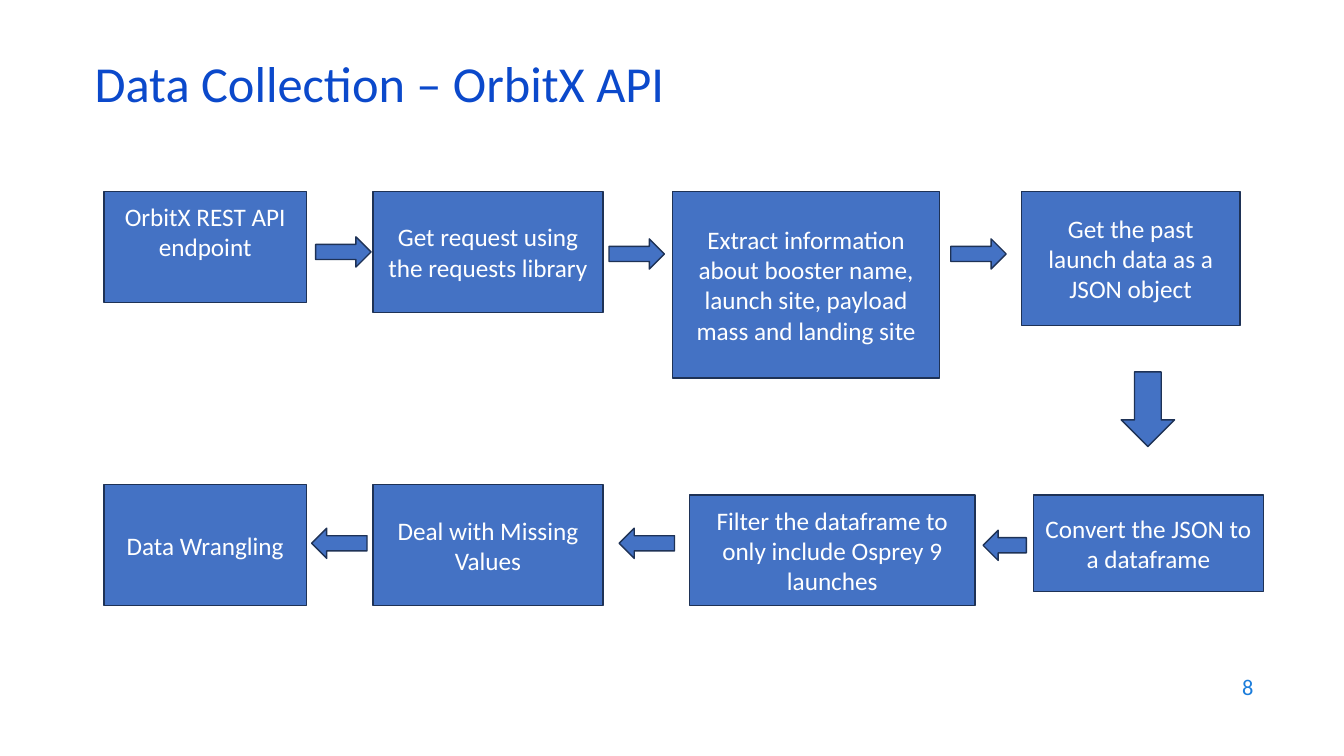
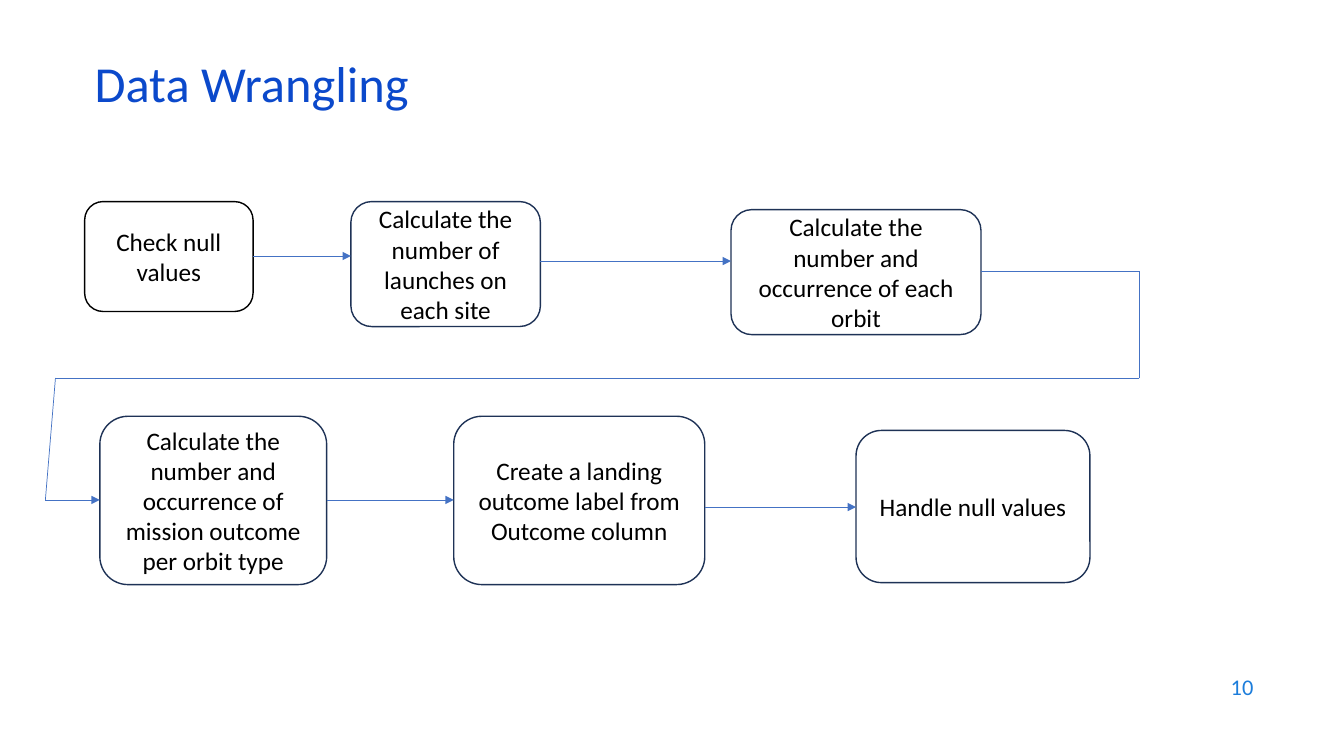
from dataclasses import dataclass
from itertools import pairwise

from lxml.etree import SubElement
from pptx import Presentation
from pptx.dml.color import RGBColor
from pptx.enum.shapes import MSO_CONNECTOR, MSO_SHAPE as Preset
from pptx.enum.text import MSO_ANCHOR as Anchor, PP_ALIGN as Align
from pptx.oxml.ns import qn
from pptx.util import Pt

PX = 9144


@dataclass(frozen=True)
class Theme:
    font: str = "Calibri"
    title: str = "0B49CB"
    number: str = "1C7DDB"
    accent: str = "4472C4"
    outline: str = "1E3256"
    white: str = "FFFFFF"
    black: str = "000000"
    title_size: int = 36
    body_size: int = 18
    number_size: int = 16
    outline_width: float = 1
    connector_width: float = 0.5


theme = Theme()


def add_preset(slide, preset, place, fill=None, line=theme.outline):
    shape = slide.shapes.add_shape(preset, *(PX * value for value in place))
    shape.shadow.inherit = False
    if fill:
        shape.fill.solid()
        shape.fill.fore_color.rgb = RGBColor.from_string(fill)
    else:
        shape.fill.background()
    shape.line.color.rgb = RGBColor.from_string(line)
    shape.line.width = Pt(theme.outline_width)
    return shape


def add_text(shape, text, *, color, size=theme.body_size, align=Align.CENTER,
             spacing=None, bottom=5):
    frame = shape.text_frame
    frame.word_wrap = True
    frame.vertical_anchor = Anchor.MIDDLE
    frame.margin_bottom = PX * bottom
    paragraph = frame.paragraphs[0]
    paragraph.alignment = align
    if spacing:
        paragraph.line_spacing = spacing
    run = paragraph.add_run()
    run.text = text
    run.font.name = theme.font
    run.font.size = Pt(size)
    run.font.color.rgb = RGBColor.from_string(color)


presentation = Presentation()
presentation.slide_width = PX * 1333
presentation.slide_height = PX * 750

slides = []
for title, number in (("Data Collection – OrbitX API", "8"), ("Data Wrangling", "10")):
    slide = presentation.slides.add_slide(presentation.slide_layouts[6])
    number_box = slide.shapes.add_textbox(PX * 953, PX * 659, PX * 300, PX * 44)
    add_text(number_box, number, color=theme.number, size=theme.number_size, align=Align.RIGHT)
    title_box = slide.shapes.add_textbox(PX * 84, PX * 59, PX * 1150, PX * 60)
    add_text(title_box, title, color=theme.title, size=theme.title_size,
             align=Align.LEFT, spacing=0.7)
    slides.append(slide)
collection, wrangling = slides

collection_steps = (
    ("OrbitX REST API endpoint", (103, 190, 201, 110), 35),
    ("Get request using the requests library", (370, 190, 228, 120), 5),
    ("Extract information about booster name, launch site, payload mass and landing site",
     (667, 190, 265, 185), 5),
    ("Get the past launch data as a JSON object", (1013, 190, 217, 133), 5),
    ("Convert the JSON to a dataframe", (1025, 491, 228, 96), 5),
    ("Filter the dataframe to only include Osprey 9 launches", (684, 491, 283, 110), 5),
    ("Deal with Missing Values", (370, 481, 228, 120), 5),
    ("Data Wrangling", (103, 481, 201, 120), 5),
)
for text, place, bottom in collection_steps:
    box = add_preset(collection, Preset.RECTANGLE, place, fill=theme.accent)
    add_text(box, text, color=theme.white, bottom=bottom)

block_arrows = (
    (Preset.RIGHT_ARROW, (313, 235, 55, 30)),
    (Preset.RIGHT_ARROW, (604, 237, 55, 30)),
    (Preset.RIGHT_ARROW, (943, 237, 55, 30)),
    (Preset.DOWN_ARROW, (1112, 369, 53, 74)),
    (Preset.LEFT_ARROW, (975, 526, 43, 30)),
    (Preset.LEFT_ARROW, (614, 524, 55, 30)),
    (Preset.LEFT_ARROW, (309, 524, 55, 30)),
)
for preset, place in block_arrows:
    add_preset(collection, preset, place, fill=theme.accent)

wrangling_steps = (
    ("Check null values", (84, 200, 167, 109), theme.white, theme.black),
    ("Calculate the number of launches on each site",
     (348, 200, 188, 124), None, theme.outline),
    ("Calculate the number and occurrence of each orbit",
     (725, 208, 248, 124), None, theme.outline),
    ("Calculate the number and occurrence of mission outcome per orbit type",
     (99, 413, 225, 167), None, theme.outline),
    ("Create a landing outcome label from Outcome column",
     (450, 413, 249, 167), None, theme.outline),
    ("Handle null values", (849, 427, 232, 151), None, theme.outline),
)
for text, place, fill, line in wrangling_steps:
    box = add_preset(wrangling, Preset.ROUNDED_RECTANGLE, place, fill=fill, line=line)
    add_text(box, text, color=theme.black)

routes = (
    ((251, 254), (348, 254)),
    ((536, 259), (725, 259)),
    ((973, 269), (1130, 269), (1130, 375), (55, 375), (45, 496), (99, 496)),
    ((324, 496), (450, 496)),
    ((699, 503), (849, 503)),
)
for route in routes:
    for start, end in pairwise(route):
        connector = wrangling.shapes.add_connector(
            MSO_CONNECTOR.STRAIGHT, *(PX * value for value in start + end))
        connector.line.color.rgb = RGBColor.from_string(theme.accent)
        connector.line.width = Pt(theme.connector_width)
        properties = connector.element.spPr
        SubElement(properties, qn("a:effectLst"))
        if end == route[-1]:
            SubElement(properties.find(qn("a:ln")), qn("a:tailEnd"), type="triangle")

presentation.save("out.pptx")
